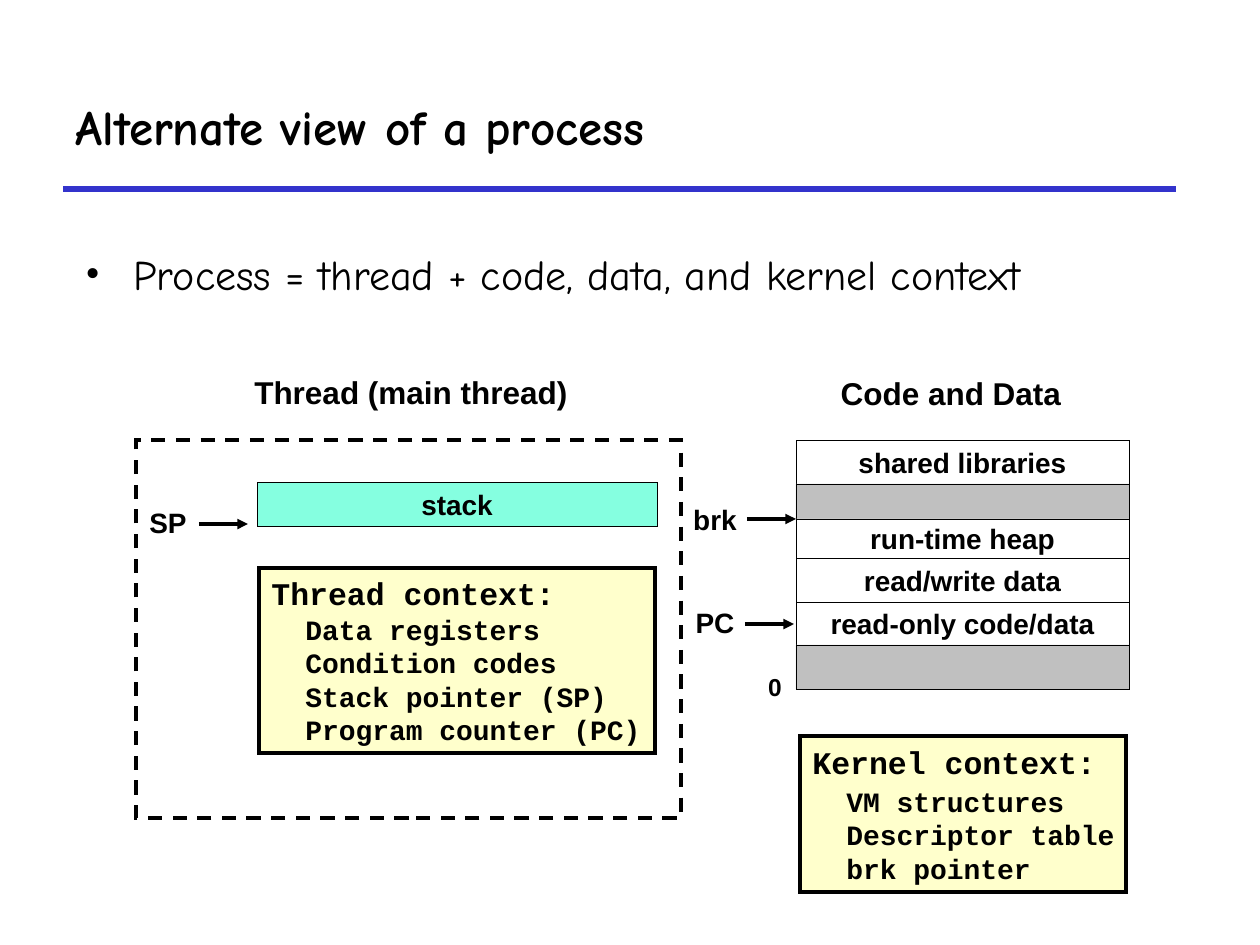
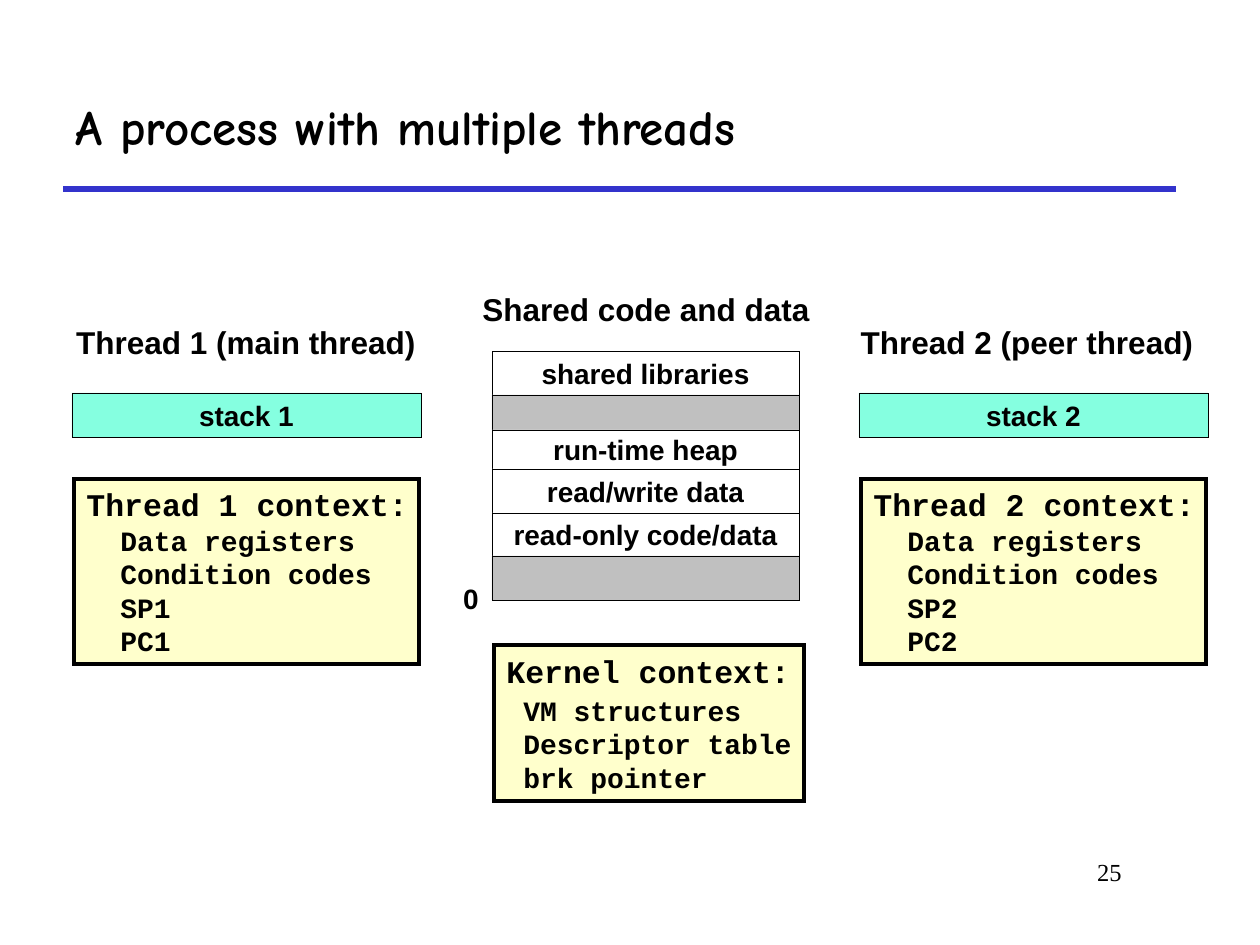
from pptx import Presentation
from pptx.dml.color import RGBColor
from pptx.enum.dml import MSO_LINE
from pptx.enum.shapes import MSO_CONNECTOR, MSO_SHAPE
from pptx.enum.text import MSO_ANCHOR as ANCHOR, PP_ALIGN as ALIGN
from pptx.oxml.ns import qn
from pptx.util import Pt
from lxml.etree import SubElement

EMU_PER_PX = 914400 / 126
BLACK, WHITE, GRAY = "000000", "FFFFFF", "C0C0C0"
RULE_BLUE, STACK_GREEN, CONTEXT_YELLOW = "3333CC", "85FFE0", "FFFFCC"

TITLE = {"name": "Comic Neue", "size": Pt(28), "bold": True}
BODY = {"name": "Comic Neue", "size": Pt(24), "bold": False}
HEADING = {"name": "Arial", "size": Pt(18), "bold": True}
LABEL = {"name": "Arial", "size": Pt(16), "bold": True}
SMALL_LABEL = {"name": "Arial", "size": Pt(14), "bold": True}
CODE_HEADING = {"name": "Courier New", "size": Pt(18), "bold": True}
CODE_ITEM = {"name": "Courier New", "size": Pt(16), "bold": True}
PAGE_NUMBER = {"name": "Times New Roman", "size": Pt(14), "bold": False}
CENTERED_FRAME = {"word_wrap": False, "vertical_anchor": ANCHOR.MIDDLE,
                  "margin_left": 0, "margin_right": 0}

MEMORY_REGIONS = [
    ("shared libraries", 44),
    ("", 35),
    ("run-time heap", 39),
    ("read/write data", 44),
    ("read-only code/data", 43),
    ("", 44),
]
KERNEL_ITEMS = ["VM structures", "Descriptor table", "brk pointer"]


def px(length):
    return round(length * EMU_PER_PX)


def color(value):
    return RGBColor.from_string(value)


def apply(target, values):
    for name, value in values.items():
        setattr(target, name, value)


def write(paragraph, text, style, align=ALIGN.LEFT):
    paragraph.text = text
    paragraph.alignment = align
    apply(paragraph.font, style)
    paragraph.font.color.rgb = color(BLACK)


def add_line(slide, start, end, line_color, width):
    points = [px(value) for value in (*start, *end)]
    connector = slide.shapes.add_connector(MSO_CONNECTOR.STRAIGHT, *points)
    connector.line.color.rgb = color(line_color)
    connector.line.width = Pt(width)
    SubElement(connector._element.spPr, qn("a:effectLst"))
    return connector


def add_arrow(slide, left, top):
    arrow = add_line(slide, (left, top), (left + 49, top), BLACK, 2)
    SubElement(arrow.line._get_or_add_ln(), qn("a:tailEnd"), type="triangle")


def add_box(slide, box, fill=None, width=0.25):
    shape = slide.shapes.add_shape(MSO_SHAPE.RECTANGLE, *map(px, box))
    shape.shadow.inherit = False
    if fill:
        shape.fill.solid()
        shape.fill.fore_color.rgb = color(fill)
    else:
        shape.fill.background()
    shape.line.color.rgb = color(BLACK)
    shape.line.width = Pt(width)
    SubElement(shape.line._get_or_add_ln(), qn("a:miter"), lim="800000")
    return shape


def add_cell(slide, box, text, fill):
    shape = add_box(slide, box, fill)
    if text:
        apply(shape.text_frame, CENTERED_FRAME)
        write(shape.text_frame.paragraphs[0], text, LABEL, ALIGN.CENTER)


def add_label(slide, center, middle, width, text, style=LABEL):
    box = (center - width // 2, middle - 25, width, 50)
    frame = slide.shapes.add_textbox(*map(px, box)).text_frame
    apply(frame, CENTERED_FRAME)
    write(frame.paragraphs[0], text, style, ALIGN.CENTER)


def add_context(slide, box, heading, items, indent=34, gap=0):
    frame = add_box(slide, box, CONTEXT_YELLOW, 2).text_frame
    apply(frame, {"word_wrap": True, "vertical_anchor": ANCHOR.MIDDLE, "margin_right": 0})
    write(frame.paragraphs[0], heading, CODE_HEADING)
    for index, item in enumerate(items):
        paragraph = frame.add_paragraph()
        paragraph._p.get_or_add_pPr().set("marL", str(px(indent)))
        write(paragraph, item, CODE_ITEM)
        if index == 0 and gap:
            paragraph.space_before = Pt(gap)


def add_thread(slide, left, top, width, stack, context, registers):
    add_cell(slide, (left, top, width, 44), stack, STACK_GREEN)
    add_context(slide, (left + 2, top + 86, width - 4, 185), context,
                ["Data registers", "Condition codes", *registers])


def add_memory(slide, left, top, width, zero_style):
    for text, height in MEMORY_REGIONS:
        add_cell(slide, (left, top, width, height), text, WHITE if text else GRAY)
        top += height
    add_label(slide, left - 21, top - 2, 40, "0", zero_style)


def add_kernel(slide, box, indent):
    add_context(slide, box, "Kernel context:", KERNEL_ITEMS, indent, gap=2)


def add_bullet(slide, box, text):
    frame = slide.shapes.add_textbox(*map(px, box)).text_frame
    frame.word_wrap = True
    paragraph = frame.paragraphs[0]
    properties = paragraph._p.get_or_add_pPr()
    properties.set("marL", str(px(48)))
    properties.set("indent", str(px(-48)))
    SubElement(properties, qn("a:buFont"), typeface="Times New Roman")
    SubElement(properties, qn("a:buChar"), char="•")
    write(paragraph, text, BODY)


def add_page_number(slide, number):
    frame = slide.shapes.add_textbox(*map(px, (955, 851, 179, 63))).text_frame
    frame.word_wrap = True
    write(frame.paragraphs[0], number, PAGE_NUMBER, ALIGN.RIGHT)


def add_titled_slide(presentation, text):
    slide = presentation.slides.add_slide(presentation.slide_layouts[5])
    add_line(slide, (63, 189), (1176, 189), RULE_BLUE, 3)
    title = slide.shapes.title
    apply(title, dict(zip(("left", "top", "width", "height"), map(px, (63, 63, 1113, 126)))))
    title.text_frame.vertical_anchor = ANCHOR.MIDDLE
    write(title.text_frame.paragraphs[0], text, TITLE)
    return slide


def build_single_thread(presentation):
    slide = add_titled_slide(presentation, "Alternate view of a process")
    add_bullet(slide, (73, 242, 1097, 126), "Process = thread + code, data, and kernel context")

    add_label(slide, 411, 392, 400, "Thread (main thread)", HEADING)
    frame = add_box(slide, (136, 440, 545, 378), width=2)
    frame.line.dash_style = MSO_LINE.DASH
    add_thread(slide, 257, 482, 400, "stack", "Thread context:",
               ["Stack pointer (SP)", "Program counter (PC)"])

    add_label(slide, 951, 393, 300, "Code and Data", HEADING)
    add_memory(slide, 796, 440, 333, SMALL_LABEL)
    add_kernel(slide, (800, 736, 326, 156), 34)

    pointers = [("SP", 168, 522, 199, 524), ("brk", 715, 519, 747, 519),
                ("PC", 715, 622, 745, 624)]
    for name, center, middle, arrow_left, arrow_top in pointers:
        add_label(slide, center, middle, 60, name)
        add_arrow(slide, arrow_left, arrow_top)


def build_multiple_threads(presentation):
    slide = add_titled_slide(presentation, "A process with multiple threads")
    threads = [(1, "main", 72, 246), (2, "peer", 859, 1027)]
    for number, role, left, heading_center in threads:
        add_label(slide, heading_center, 342, 400,
                  f"Thread {number} ({role} thread)", HEADING)
        add_thread(slide, left, 393, 349, f"stack {number}", f"Thread {number} context:",
                   [f"SP{number}", f"PC{number}"])

    add_label(slide, 646, 309, 400, "Shared code and data", HEADING)
    add_memory(slide, 492, 351, 307, LABEL)
    add_kernel(slide, (494, 645, 310, 156), 17)
    add_page_number(slide, "25")


def main():
    presentation = Presentation()
    apply(presentation, {"slide_width": px(1260), "slide_height": px(945)})
    build_single_thread(presentation)
    build_multiple_threads(presentation)
    presentation.save("out.pptx")


if __name__ == "__main__":
    main()
